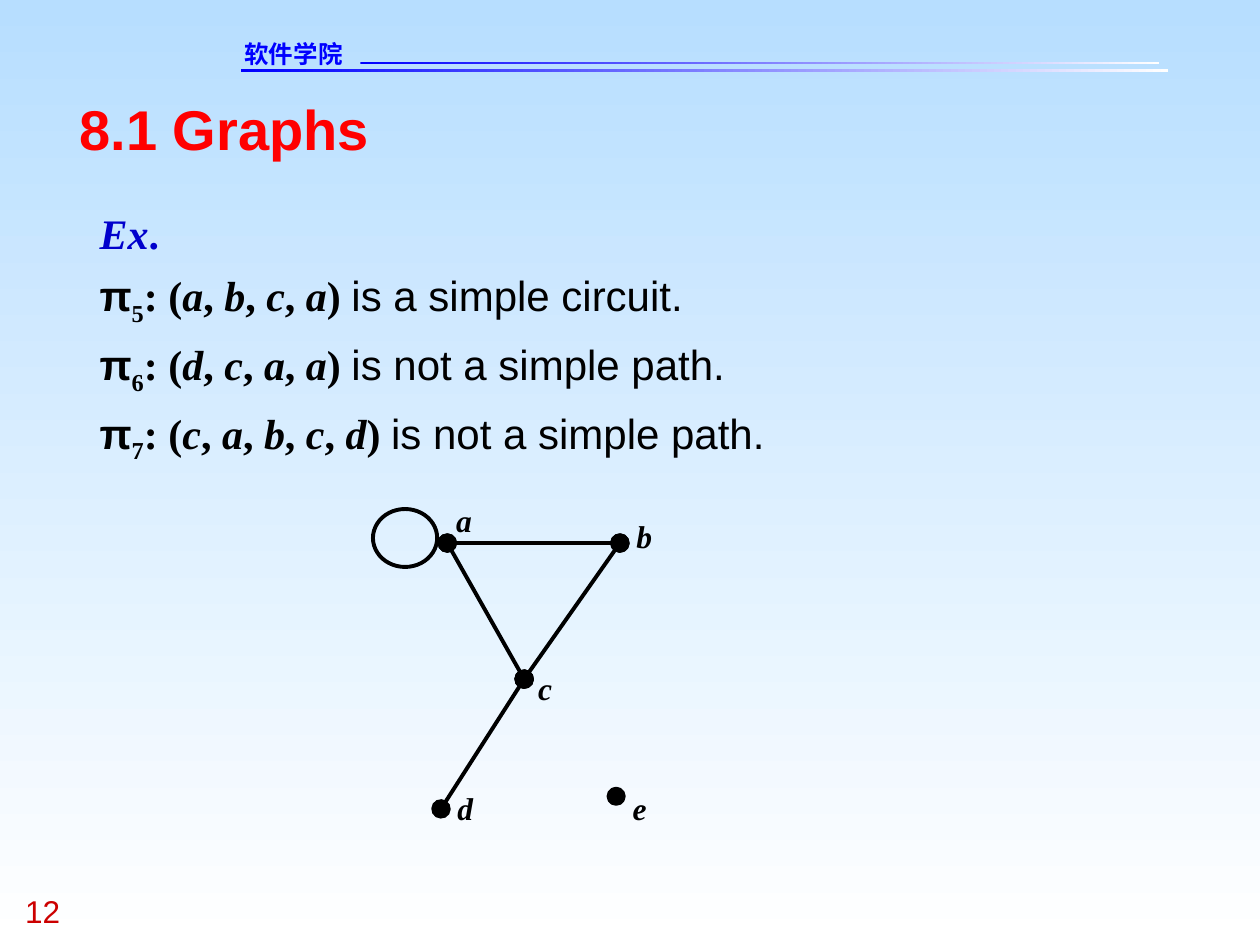
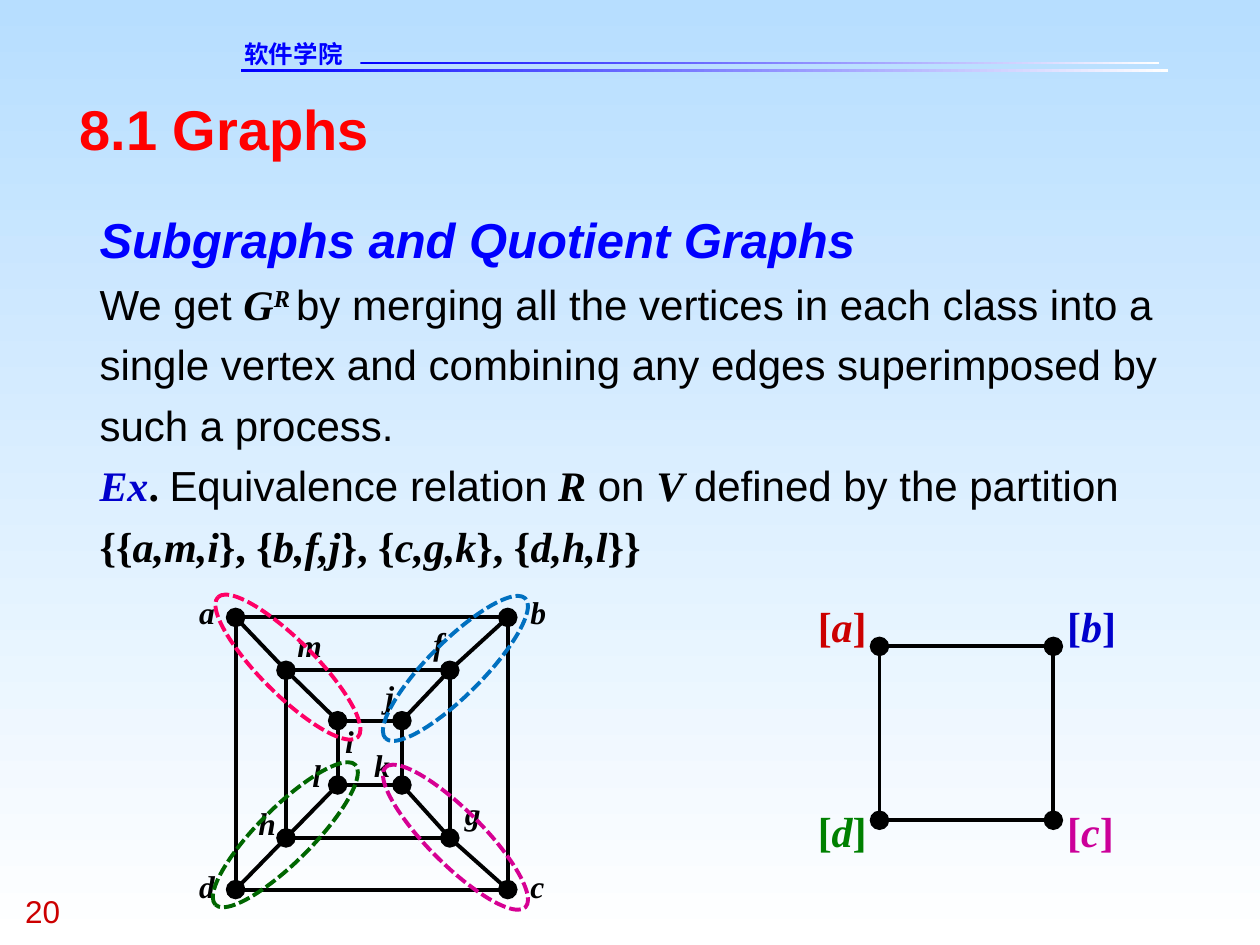
from pptx import Presentation
from pptx.dml.color import RGBColor
from pptx.enum.dml import MSO_LINE
from pptx.enum.shapes import MSO_CONNECTOR, MSO_SHAPE
from pptx.oxml.ns import qn
from pptx.util import Inches, Pt
from lxml.etree import SubElement

# Colours and fonts
BLACK = RGBColor(0x00, 0x00, 0x00)
WHITE = RGBColor(0xFF, 0xFF, 0xFF)
SKY = RGBColor(0xB7, 0xDE, 0xFF)
BLUE = RGBColor(0x00, 0x00, 0xFF)
DARK_BLUE = RGBColor(0x00, 0x00, 0xCC)
TITLE_RED = RGBColor(0xFF, 0x00, 0x00)
DARK_RED = RGBColor(0xCC, 0x00, 0x00)
GREEN = RGBColor(0x00, 0x80, 0x00)
MAGENTA = RGBColor(0xCC, 0x00, 0x99)
RING_PINK = RGBColor(0xFF, 0x00, 0x66)
RING_PURPLE = RGBColor(0xD6, 0x00, 0x93)
RING_BLUE = RGBColor(0x00, 0x70, 0xC0)
RING_GREEN = RGBColor(0x00, 0x66, 0x00)
SANS, SERIF, HEADER_FONT = "Arial", "Times New Roman", "DejaVu Sans"

# Run styles: font, bold, italic, baseline in percent
PLAIN = (SANS, False, False, 0)
SANS_BOLD = (SANS, True, False, 0)
SANS_BOLD_ITALIC = (SANS, True, True, 0)
MATH = (SERIF, True, False, 0)
VARIABLE = (SERIF, True, True, 0)
SUBSCRIPT = (SERIF, True, False, -25)
SUPERSCRIPT = (SERIF, True, True, 30)

# Shared content: left, top, width, height
HEADER = "软件学院"
TITLE = "8.1 Graphs"
BANDS = [(1.91, 0.55, 7.36, 0.02), (2.86, 0.49, 6.34, 0.02)]

# Simple paths: index, vertices, verdict
PATHS = [
    ("5", "abca", "is a simple circuit."),
    ("6", "dcaa", "is not a simple path."),
    ("7", "cabcd", "is not a simple path."),
]
VERTICES = {"a": (3.55, 4.31), "b": (4.92, 4.31), "c": (4.16, 5.39), "d": (3.5, 6.42)}
EDGES = ["ab", "ac", "cb", "dc"]
LOOP = (2.96, 4.04, 0.51, 0.46)
ISOLATED_VERTEX = (4.83, 6.26, 0.12, 0.12)
PATH_LABELS = {"a": (3.62, 3.98), "b": (5.05, 4.1), "c": (4.27, 5.31),
               "d": (3.63, 6.26), "e": (5.02, 6.26)}

# Quotient graph
PARTITION = ["a,m,i", "b,f,j", "c,g,k", "d,h,l"]
MERGING = [
    ("We get ", PLAIN), ("G", VARIABLE), ("R ", SUPERSCRIPT),
    ("by merging all the vertices in each class into a single vertex and "
     "combining any edges superimposed by such a process.", PLAIN),
]
RELATION = [
    ("Ex", VARIABLE, DARK_BLUE), (". ", MATH), ("Equivalence relation", PLAIN),
    (" R", VARIABLE), (" on ", PLAIN), ("V ", VARIABLE),
    ("defined by the partition", PLAIN),
]
# Squares: left, top, right, bottom
NESTED_SQUARES = [(1.87, 4.9, 4.03, 7.06), (2.27, 5.32, 3.57, 6.65), (2.68, 5.72, 3.19, 6.23)]
QUOTIENT_SQUARE = (6.98, 5.13, 8.36, 6.51)
NESTED_LABELS = {
    "a": (1.58, 4.71), "b": (4.21, 4.71), "c": (4.21, 6.88), "d": (1.58, 6.88),
    "m": (2.36, 4.97), "f": (3.44, 4.95), "g": (3.69, 6.3), "h": (2.05, 6.38),
    "i": (2.74, 5.73), "j": (3.06, 5.37), "k": (2.97, 5.92), "l": (2.48, 6.0),
}
CLASS_LABELS = [("a", 6.49, 4.77, DARK_RED), ("b", 8.47, 4.77, DARK_BLUE),
                ("c", 8.47, 6.39, MAGENTA), ("d", 6.49, 6.39, GREEN)]
CLASS_RINGS = [(1.5, 5.08, 45, RING_PINK), (2.83, 6.43, 45, RING_PURPLE),
               (2.83, 5.09, 315, RING_BLUE), (1.48, 6.41, 315, RING_GREEN)]
RING_SIZE = (1.57, 0.43)
LETTER_WIDTHS = {"m": 0.2, "c": 0.11, "e": 0.11, "f": 0.08, "i": 0.07, "j": 0.07, "l": 0.07}


def inches(values):
    return [Inches(value) for value in values]


def style_font(font, style, size=None, color=None):
    font.name, font.bold, font.italic = style[:3]
    if size:
        font.size = Pt(size)
    if color is not None:
        font.color.rgb = color


def add_text(slide, box, paragraphs, line_spacing=None, wrap=True):
    """Each paragraph is (size, colour, runs); a run is (text, style[, colour])."""
    frame = slide.shapes.add_textbox(*inches(box)).text_frame
    frame.margin_left = frame.margin_top = frame.margin_right = frame.margin_bottom = 0
    frame.word_wrap = wrap
    for index, (size, color, runs) in enumerate(paragraphs):
        paragraph = frame.add_paragraph() if index else frame.paragraphs[0]
        if line_spacing:
            paragraph.line_spacing = line_spacing
        style_font(paragraph.font, runs[0][1], size, color)
        for text, style, *run_color in runs:
            run = paragraph.add_run()
            run.text = text
            if len(runs) > 1:
                style_font(run.font, style, color=run_color[0] if run_color else None)
            if style[3]:
                run.font._element.set("baseline", str(style[3] * 1000))


def fill_gradient(fill, start, end, angle):
    fill.gradient()
    fill.gradient_angle = angle
    for stop, color in zip(fill.gradient_stops, (start, end)):
        stop.color.rgb = color


def add_ellipse(slide, box, color=BLACK, filled=False):
    ellipse = slide.shapes.add_shape(MSO_SHAPE.OVAL, *inches(box))
    ellipse.shadow.inherit = False
    if filled:
        ellipse.fill.solid()
        ellipse.fill.fore_color.rgb = color
    else:
        ellipse.fill.background()
    ellipse.line.color.rgb = color
    ellipse.line.width = Pt(2.25)
    return ellipse


def add_edge(slide, start, end, dots=False):
    edge = slide.shapes.add_connector(MSO_CONNECTOR.STRAIGHT, *inches(start + end))
    edge.line.color.rgb = BLACK
    edge.line.width = Pt(2.25)
    properties = edge._element.spPr
    if dots:
        for tag in ("a:headEnd", "a:tailEnd"):
            SubElement(properties.find(qn("a:ln")), qn(tag), type="oval", w="lg", len="lg")
    SubElement(properties, qn("a:effectLst"))


def add_square(slide, left, top, right, bottom):
    """Draw a square with dotted corners and return the corners clockwise."""
    corners = [(left, top), (right, top), (right, bottom), (left, bottom)]
    for index, corner in enumerate(corners):
        add_edge(slide, corner, corners[(index + 1) % 4], dots=index % 2 == 0)
    return corners


def add_vertex_labels(slide, labels):
    for letter, position in labels.items():
        box = (*position, LETTER_WIDTHS.get(letter, 0.13), 0.3)
        add_text(slide, box, [(18, BLACK, [(letter, VARIABLE)])], wrap=False)


def add_base_slide(presentation, number):
    slide = presentation.slides.add_slide(presentation.slide_layouts[6])
    fill_gradient(slide.background.fill, SKY, WHITE, 270)
    for box in BANDS:
        band = slide.shapes.add_shape(MSO_SHAPE.RECTANGLE, *inches(box))
        band.shadow.inherit = False
        band.line.fill.background()
        fill_gradient(band.fill, BLUE, WHITE, 0)
    header_style = (HEADER_FONT, True, False, 0)
    add_text(slide, (1.94, 0.31, 1.45, 0.23), [(14, BLUE, [(HEADER, header_style)])])
    add_text(slide, (0.2, 7.08, 0.75, 0.3), [(18, DARK_RED, [(number, PLAIN)])])
    add_text(slide, (0.63, 0.75, 8.75, 0.53), [(32, TITLE_RED, [(TITLE, SANS_BOLD)])])
    return slide


def separated(items, separator):
    """Italic items with upright separators between them."""
    runs = []
    for item in items:
        runs += [(separator, MATH), (item, VARIABLE)]
    return runs[1:]


def build_paths_slide(presentation):
    slide = add_base_slide(presentation, "12")
    paragraphs = [(24, DARK_BLUE, [("Ex", VARIABLE), (".", MATH)])]
    for index, vertices, verdict in PATHS:
        runs = [("π", SANS_BOLD), (index, SUBSCRIPT), (": (", MATH),
                *separated(vertices, ", "), (") ", MATH), (verdict, PLAIN)]
        paragraphs.append((24, BLACK, runs))
    add_text(slide, (0.79, 1.57, 8.82, 2.12), paragraphs, 1.2)

    # Graph with a loop at a and an isolated vertex e
    for start, end in EDGES:
        add_edge(slide, VERTICES[start], VERTICES[end], dots=True)
    add_ellipse(slide, ISOLATED_VERTEX, filled=True)
    add_ellipse(slide, LOOP)
    add_vertex_labels(slide, PATH_LABELS)


def build_quotient_slide(presentation):
    slide = add_base_slide(presentation, "20")
    partition = [(" {{", MATH), *separated(PARTITION, "}, {"), ("}}", MATH)]
    add_text(slide, (0.79, 1.57, 8.9, 2.96), [
        (28, BLUE, [("Subgraphs and Quotient Graphs", SANS_BOLD_ITALIC)]),
        (24, BLACK, MERGING),
        (24, BLACK, RELATION + partition),
    ], 1.2)

    # Quotient graph
    add_square(slide, *QUOTIENT_SQUARE)
    for letter, left, top, color in CLASS_LABELS:
        runs = [("[", MATH), (letter, VARIABLE), ("]", MATH)]
        add_text(slide, (left, top, 0.39, 0.4), [(24, color, runs)])

    # Nested squares joined corner to corner
    squares = [add_square(slide, *square) for square in NESTED_SQUARES]
    for outer, inner in zip(squares, squares[1:]):
        for start, end in zip(outer, inner):
            add_edge(slide, start, end)
    add_vertex_labels(slide, NESTED_LABELS)

    # Dashed rings around the equivalence classes
    for left, top, rotation, color in CLASS_RINGS:
        ring = add_ellipse(slide, (left, top, *RING_SIZE), color)
        ring.rotation = rotation
        ring.line.dash_style = MSO_LINE.SQUARE_DOT


def main():
    presentation = Presentation()
    presentation.slide_width, presentation.slide_height = Inches(10), Inches(7.5)
    build_paths_slide(presentation)
    build_quotient_slide(presentation)
    presentation.save("out.pptx")


if __name__ == "__main__":
    main()
